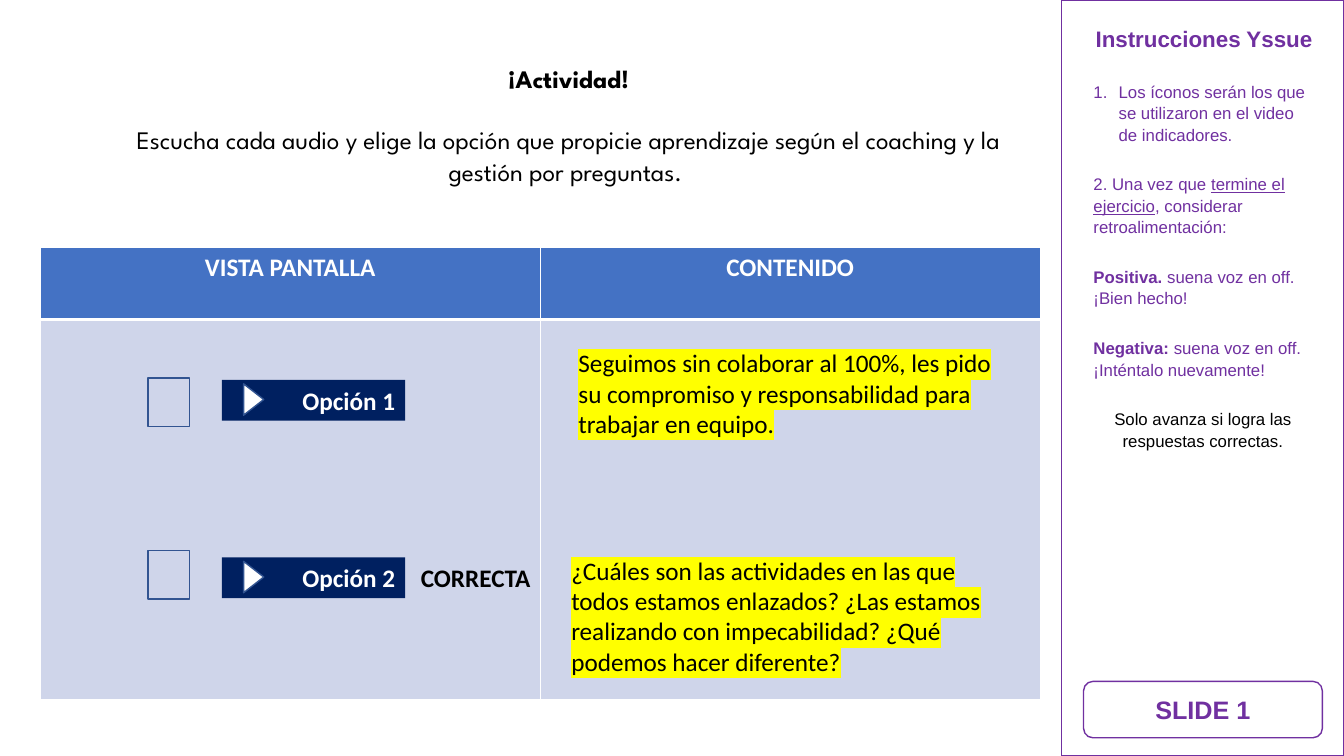
from pptx import Presentation
from pptx.dml.color import RGBColor as RGB
from pptx.enum.shapes import MSO_SHAPE as Kind
from pptx.enum.text import MSO_ANCHOR as Anchor, PP_ALIGN as Align
from pptx.oxml import parse_xml
from pptx.oxml.ns import nsdecls, qn
from pptx.util import Pt

WHITE = RGB(0xFF, 0xFF, 0xFF)
BLACK = RGB(0, 0, 0)
PURPLE = RGB(0x70, 0x30, 0xA0)
BLUE = RGB(0x44, 0x72, 0xC4)
PALE = RGB(0xCF, 0xD5, 0xEA)
NAVY = RGB(0x00, 0x20, 0x60)
EDGE = RGB(0x32, 0x54, 0x91)
YELLOW = RGB(0xFF, 0xFF, 0x00)


def write(frame, *runs, font="Calibri", size=18, color=BLACK, bold=False,
          align=Align.LEFT, mark=None, space=None, line=None, number=False):
    """Add a paragraph; a run is a string or a (string, style letters) pair."""
    frame.word_wrap = True
    para = frame.paragraphs[0]
    if para.runs:
        para = frame.add_paragraph()
    para.alignment = align
    if space is not None:
        para.space_before = para.space_after = Pt(space)
    if line is not None:
        para.line_spacing = line
    if number:
        props = para._p.get_or_add_pPr()
        props.set("marL", str(Pt(18)))
        props.set("indent", str(-Pt(18)))
        props.append(parse_xml(
            f'<a:buAutoNum {nsdecls("a")} type="arabicPeriod"/>'))
    for item in runs:
        words, style = (item, "") if isinstance(item, str) else item
        run = para.add_run()
        run.text = words
        face = run.font
        face.name, face.size = font, Pt(size)
        face.bold = bold or "b" in style
        face.underline = "u" in style
        face.color.rgb = color
        if mark is not None:
            run._r.rPr.find(qn("a:solidFill")).addnext(parse_xml(
                f'<a:highlight {nsdecls("a")}>'
                f'<a:srgbClr val="{mark}"/></a:highlight>'))


def label(slide, box):
    return slide.shapes.add_textbox(*map(Pt, box)).text_frame


def block(slide, kind, box, fill=None, edge=None):
    shape = slide.shapes.add_shape(kind, *map(Pt, box))
    shape.shadow.inherit = False
    if fill is None:
        shape.fill.background()
    else:
        shape.fill.solid()
        shape.fill.fore_color.rgb = fill
    if edge is None:
        shape.line.fill.background()
    else:
        shape.line.color.rgb = edge
        shape.line.width = Pt(1)
    return shape


def border(cell, top, bottom):
    props = cell._tc.get_or_add_tcPr()
    sides = (("L", 1), ("R", 1), ("T", top), ("B", bottom))
    for spot, (side, width) in enumerate(sides):
        props.insert(spot, parse_xml(
            f'<a:ln{side} {nsdecls("a")} w="{Pt(width)}"><a:solidFill>'
            f'<a:srgbClr val="{WHITE}"/></a:solidFill></a:ln{side}>'))


def grid(slide, box, heads, heights):
    left, top, width, height = box
    table = slide.shapes.add_table(2, len(heads), *map(Pt, box)).table
    for row, tall in zip(table.rows, heights):
        row.height = Pt(tall)
    for col, head in enumerate(heads):
        table.columns[col].width = Pt(width / len(heads))
        write(table.cell(0, col).text_frame, head, color=WHITE, bold=True,
              align=Align.CENTER)
        for row, fill, edges in ((0, BLUE, (1, 3)), (1, PALE, (3, 1))):
            cell = table.cell(row, col)
            cell.fill.solid()
            cell.fill.fore_color.rgb = fill
            border(cell, *edges)


def intro(slide, box):
    frame = label(slide, box)
    look = dict(font="League Spartan", align=Align.CENTER, space=10, line=1.07)
    write(frame, "¡Actividad!", bold=True, **look)
    write(frame, "Escucha cada audio y elige la opción que propicie aprendizaje "
          "según el coaching y la gestión por preguntas. ", **look)


def option(slide, box, name, lift):
    left, top, width, height = box
    # Answer bar, tick box and play sign
    bar = block(slide, Kind.RECTANGLE, box, fill=NAVY)
    write(bar.text_frame, name, color=WHITE, bold=True, align=Align.RIGHT)
    block(slide, Kind.RECTANGLE, (left - 52.6, top - lift, 29.6, 34.6),
          edge=EDGE)
    play = block(slide, Kind.FLOWCHART_EXTRACT,
                 (left + 11.6, top + 6.8, 22.4, 14.4), fill=WHITE, edge=EDGE)
    play.rotation = 90


def panel(slide, box):
    left, top, width, height = box
    block(slide, Kind.RECTANGLE, box, edge=PURPLE)
    inner, wide = left + 15.8, 170.6

    # Instructions
    frame = label(slide, (inner, top + 13, wide, 355))
    look = dict(font="Arial", space=10, line=1.07)
    write(frame, "Instrucciones Yssue", size=16, color=PURPLE, bold=True,
          align=Align.RIGHT, **look)
    look["size"] = 12
    write(frame, "Los íconos serán los que se utilizaron en el video de "
          "indicadores.", color=PURPLE, number=True, **look)
    for runs in (
        ("2. Una vez que ", ("termine el ejercicio", "u"),
         ", considerar retroalimentación:"),
        (("Positiva.", "b"), " suena voz en off. ¡Bien hecho! "),
        (("Negativa: ", "b"), "suena voz en off. ¡Inténtalo nuevamente! "),
    ):
        write(frame, *runs, color=PURPLE, **look)
    write(frame, "Solo avanza si logra las respuestas correctas.",
          align=Align.CENTER, **look)

    # Slide number badge
    badge = block(slide, Kind.ROUNDED_RECTANGLE,
                  (inner, top + height - 53.3, wide, 40.3), edge=PURPLE)
    badge.text_frame.vertical_anchor = Anchor.MIDDLE
    write(badge.text_frame, "SLIDE 1", font="Arial", color=PURPLE, bold=True,
          align=Align.CENTER)


def quiz(slide, box):
    left, top, width, height = box
    grid(slide, box, ("VISTA PANTALLA", "CONTENIDO"), (51.8, height - 51.8))
    answers = (
        ("Opción 1", 95, 1.4, 377.3, 68.4,
         "Seguimos sin colaborar al 100%, les pido su compromiso y "
         "responsabilidad para trabajar en equipo."),
        ("Opción 2", 221.8, 5, 372.2, 216.7,
         "¿Cuáles son las actividades en las que todos estamos enlazados? "
         "¿Las estamos realizando con impecabilidad? ¿Qué podemos hacer "
         "diferente?"),
    )
    for name, down, lift, side, drop, words in answers:
        option(slide, (left + 129.6, top + down, 131, 29), name, lift)
        write(label(slide, (left + side, top + drop, 314, 73)), words,
              mark=YELLOW)
    # Mark of the right answer
    write(label(slide, (left + 257.8, top + 221.8, 99.4, 29)), "CORRECTA",
          bold=True, align=Align.RIGHT)


deck = Presentation()
deck.slide_width, deck.slide_height = Pt(960), Pt(540)
page = deck.slides.add_slide(deck.slide_layouts[6])
intro(page, (69.1, 40.3, 674, 95.8))
quiz(page, (28.8, 176.4, 714.2, 323.2))
panel(page, (758.2, 0, 201.8, 540))
deck.save("out.pptx")
